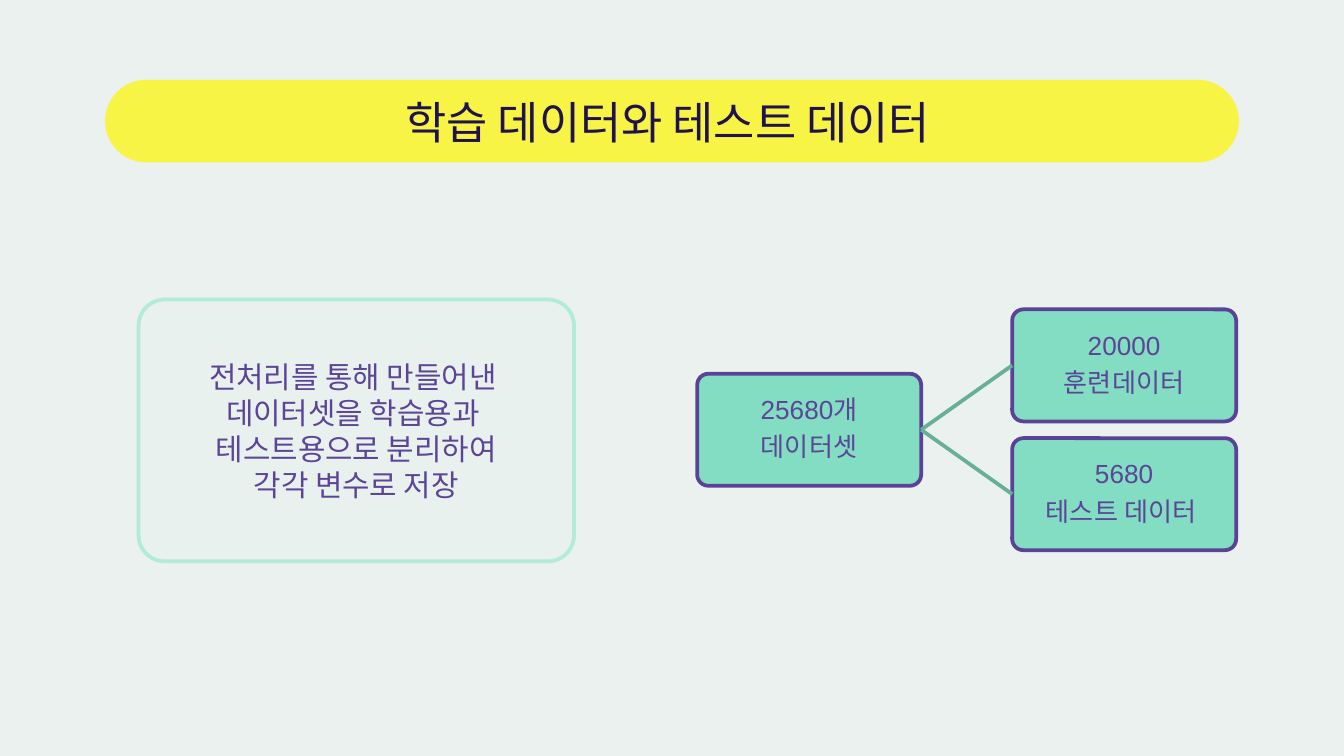
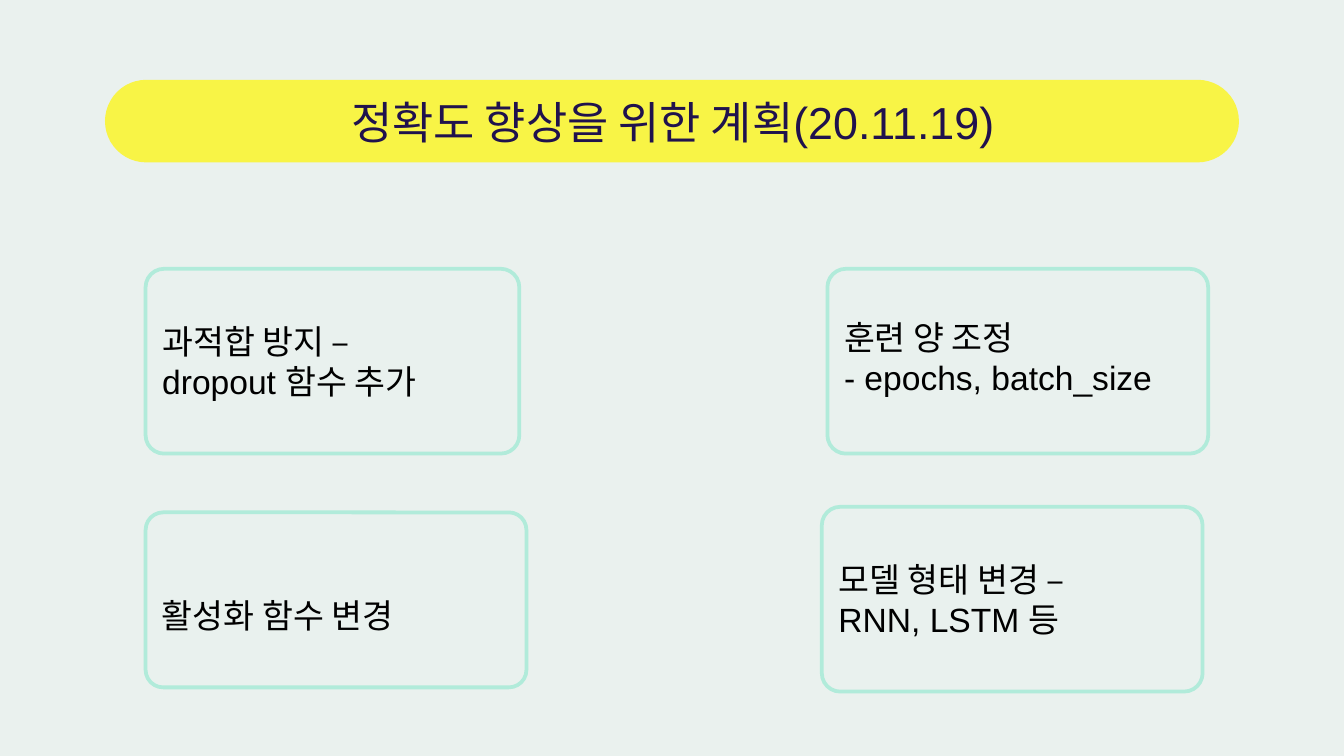
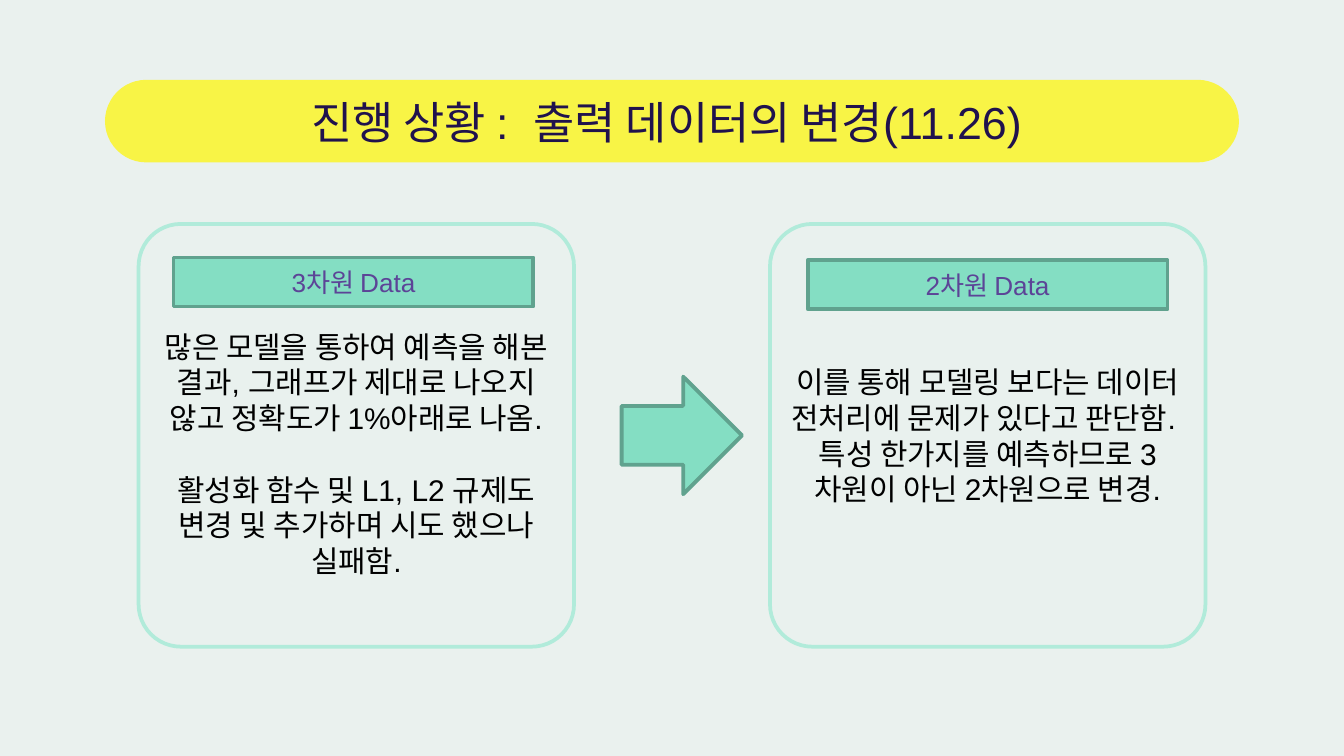
from dataclasses import dataclass
from pptx import Presentation
from pptx.dml.color import RGBColor
from pptx.enum.shapes import MSO_CONNECTOR, MSO_SHAPE
from pptx.enum.text import MSO_ANCHOR, MSO_AUTO_SIZE, PP_ALIGN
from pptx.oxml.ns import qn
from pptx.shapes.autoshape import Shape
from pptx.slide import Slide, SlideLayout
from pptx.text.text import TextFrame
from pptx.util import Emu, Pt
from lxml.etree import SubElement

EMU_PER_PX = 9525
FONT = "Arial"
PAGE = "EAF1EE"
YELLOW = "F8F446"
NAVY = "20124D"
PURPLE = "5C4497"
BLACK = "000000"
LINK = "67AF97"


@dataclass(frozen=True)
class Style:
    geometry: MSO_SHAPE
    fill: str
    line: str | None
    radius: float | None = None
    size: int = 16
    color: str = BLACK
    align: PP_ALIGN = PP_ALIGN.CENTER
    inset: int = 8
    line_spacing: float = 1.0
    gap: float = 0


@dataclass(frozen=True)
class Box:
    x: int
    y: int
    w: int
    h: int
    style: Style
    paragraphs: tuple[str, ...] = ()
    push_down: int = 0
    push_up: int = 0


ROUND = MSO_SHAPE.ROUNDED_RECTANGLE
BAND = Style(ROUND, YELLOW, None, 0.5)
SUMMARY = Style(ROUND, "E9F1EE", "B1EBDA", 0.1, color=PURPLE)
PLAN = Style(ROUND, "E9F1EE", "B1EBDA", 0.1, size=18, align=PP_ALIGN.LEFT)
PANEL = Style(ROUND, "E9F1EE", "B1EBDA", 0.1, inset=4, gap=19)
NODE = Style(ROUND, "82DDC3", "5A4296", 0.1, size=14, color=PURPLE,
             inset=1, line_spacing=0.9, gap=4.9)
LABEL = Style(MSO_SHAPE.RECTANGLE, "84DEC3", "60A28E", size=14, color=PURPLE)
ARROW = Style(MSO_SHAPE.RIGHT_ARROW, "84DEC3", "60A28E")


def px(n: int) -> Emu:
    return Emu(n * EMU_PER_PX)


def rgb(value: str) -> RGBColor:
    return RGBColor.from_string(value)


def set_insets(tf: TextFrame, side: int, top: int, bottom: int) -> None:
    tf.margin_left = tf.margin_right = px(side)
    tf.margin_top, tf.margin_bottom = px(top), px(bottom)
    tf.word_wrap = True
    tf.auto_size = MSO_AUTO_SIZE.NONE
    tf.vertical_anchor = MSO_ANCHOR.MIDDLE


def write(tf: TextFrame, paragraphs: tuple[str, ...], size: int, color: str,
          align: PP_ALIGN, line_spacing: float = 1.0, gap: float = 0) -> None:
    for i, text in enumerate(paragraphs):
        p = tf.add_paragraph() if i else tf.paragraphs[0]
        p.alignment = align
        p.line_spacing = line_spacing
        p.space_before = Pt(gap if i else 0)
        r = p.add_run()
        r.text = text
        r.font.name = FONT
        r.font.size = Pt(size)
        r.font.color.rgb = rgb(color)


def add_box(s: Slide, box: Box) -> Shape:
    style = box.style
    sp = s.shapes.add_shape(style.geometry, px(box.x), px(box.y), px(box.w), px(box.h))
    sp.shadow.inherit = False
    sp.fill.solid()
    sp.fill.fore_color.rgb = rgb(style.fill)
    if style.line:
        sp.line.color.rgb = rgb(style.line)
        sp.line.width = Pt(2)
    else:
        sp.line.fill.background()
    if style.radius is not None:
        sp.adjustments[0] = style.radius
    if box.paragraphs:
        tf = sp.text_frame
        set_insets(tf, style.inset, style.inset + box.push_down, style.inset + box.push_up)
        write(tf, box.paragraphs, style.size, style.color, style.align,
              style.line_spacing, style.gap)
    return sp


def add_link(s: Slide, start: Shape, end: Shape) -> None:
    cxn = s.shapes.add_connector(MSO_CONNECTOR.STRAIGHT, 0, 0, 0, 0)
    cxn.begin_connect(start, 3)
    cxn.end_connect(end, 1)
    cxn.line.color.rgb = rgb(LINK)
    cxn.line.width = Pt(2)
    SubElement(cxn.element.spPr, qn("a:effectLst"))


def add_slide(prs: Presentation, layout: SlideLayout, heading: str) -> Slide:
    s = prs.slides.add_slide(layout)
    title = s.shapes.title
    title.left, title.top, title.width, title.height = px(99), px(58), px(763), px(58)
    set_insets(title.text_frame, 10, 10, 10)
    write(title.text_frame, (heading,), 24, NAVY, PP_ALIGN.CENTER)
    return s


def build_data_split(prs: Presentation, layout: SlideLayout) -> None:
    s = add_slide(prs, layout, "학습 데이터와 테스트 데이터 ")
    band = add_box(s, Box(75, 57, 810, 59, BAND))
    layout.placeholders[0].element.addprevious(band.element)
    add_box(s, Box(99, 214, 311, 187, SUMMARY, (
        "전처리를 통해 만들어낸 ", "데이터셋을 학습용과 ",
        "테스트용으로 분리하여", "각각 변수로 저장")))
    dataset = add_box(s, Box(498, 267, 160, 80, NODE, ("25680개", "데이터셋")))
    parts = (("20000", "훈련데이터"), ("5680", "테스트 데이터 "))
    for i, part in enumerate(parts):
        node = add_box(s, Box(723, 221 + i * 92, 160, 80, NODE, part))
        add_link(s, dataset, node)


def build_accuracy_plan(prs: Presentation, layout: SlideLayout) -> None:
    s = add_slide(prs, layout, "정확도 향상을 위한 계획(20.11.19)")
    for box in (
        Box(104, 192, 267, 132, PLAN, ("과적합 방지 –", "dropout 함수 추가")),
        Box(591, 192, 272, 132, PLAN, ("훈련 양 조정", "- epochs, batch_size"), push_up=6),
        Box(587, 362, 272, 132, PLAN, ("모델 형태 변경 –", "RNN, LSTM 등")),
        Box(104, 366, 272, 125, PLAN, ("활성화 함수 변경",), push_down=22),
    ):
        add_box(s, box)


def build_output_change(prs: Presentation, layout: SlideLayout) -> None:
    s = add_slide(prs, layout, "진행 상황 :  출력 데이터의 변경(11.26) ")
    for box in (
        Box(99, 160, 311, 302, PANEL, (
            "많은 모델을 통하여 예측을 해본 결과, 그래프가 제대로 나오지 않고 정확도가 1%아래로 나옴.",
            "활성화 함수 및 L1, L2 규제도 변경 및 추가하며 시도 했으나 실패함."), push_down=26),
        Box(550, 160, 311, 302, PANEL, (
            "이를 통해 모델링 보다는 데이터 전처리에 문제가 있다고 판단함.  "
            "특성 한가지를 예측하므로 3차원이 아닌 2차원으로 변경.",)),
        Box(444, 269, 86, 84, ARROW),
        Box(124, 184, 257, 35, LABEL, ("3차원 Data",)),
        Box(577, 186, 257, 35, LABEL, ("2차원 Data",)),
    ):
        add_box(s, box)


def main() -> None:
    prs = Presentation()
    prs.slide_width, prs.slide_height = px(960), px(540)
    bg = prs.slide_master.background.fill
    bg.solid()
    bg.fore_color.rgb = rgb(PAGE)
    layout = prs.slide_layouts.get_by_name("Title Only")
    for build in (build_data_split, build_accuracy_plan, build_output_change):
        build(prs, layout)
    prs.save("out.pptx")


if __name__ == "__main__":
    main()
